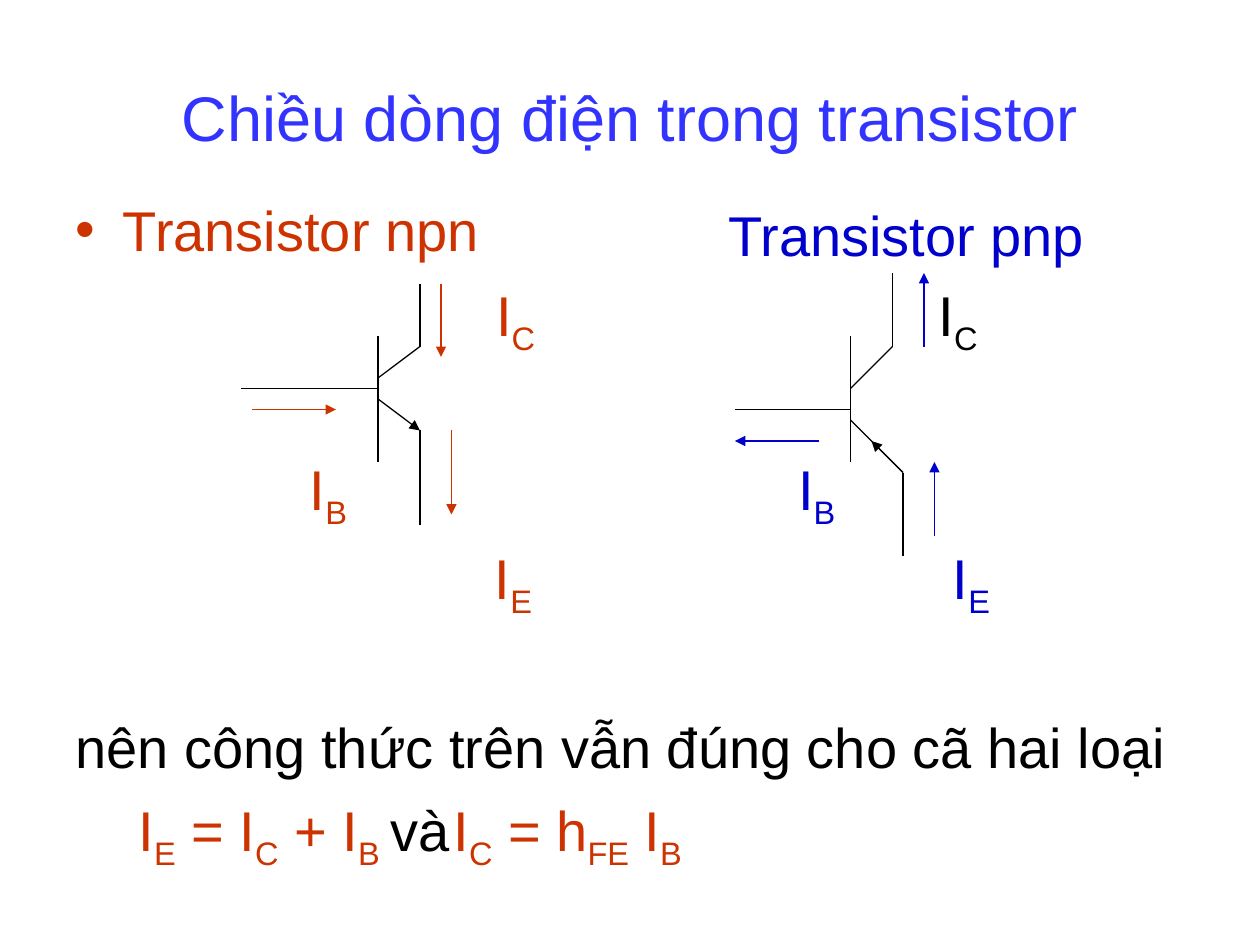
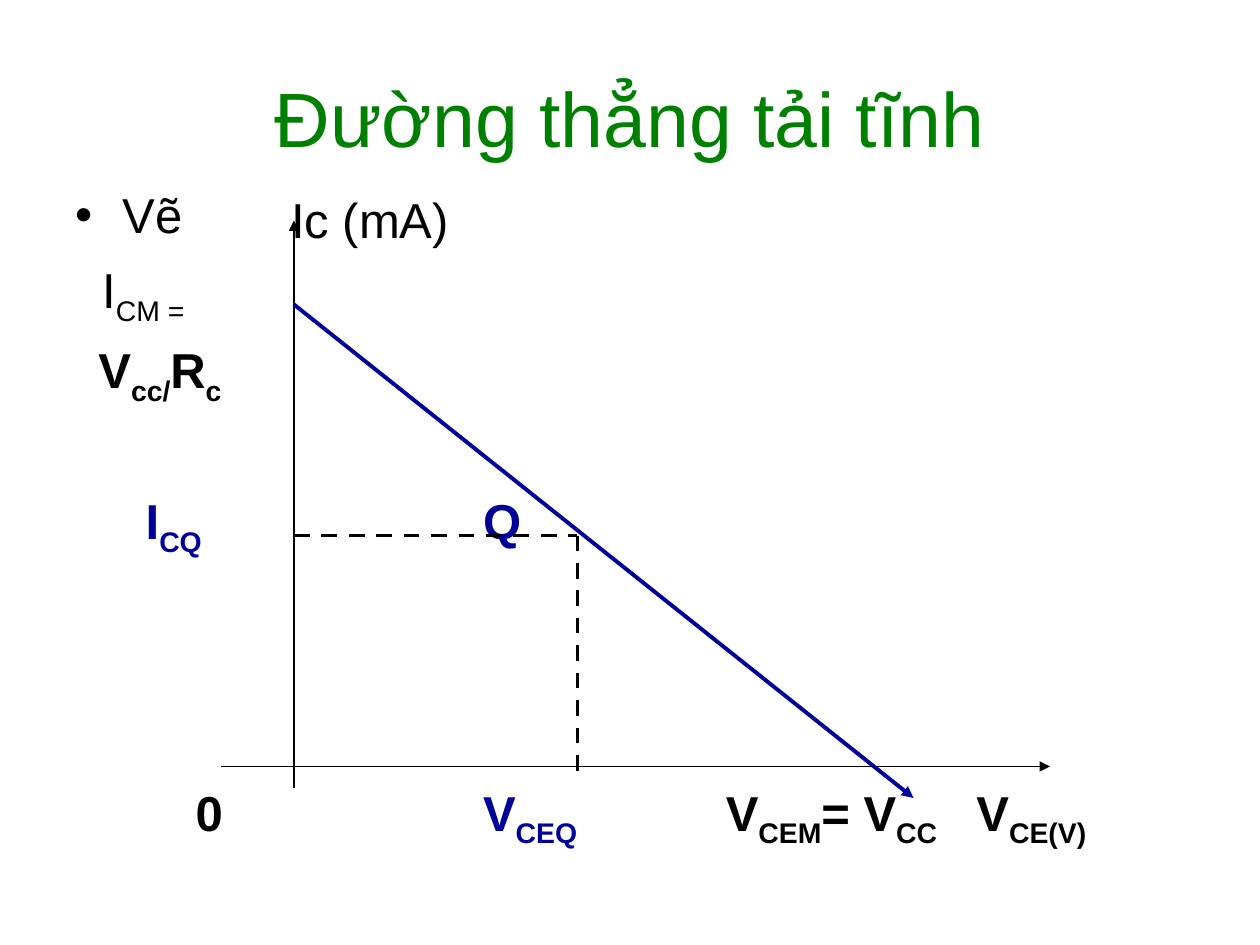
import pptx
import pptx.dml.color
import pptx.enum.dml
import pptx.enum.shapes
import pptx.enum.text
import pptx.oxml
import pptx.oxml.ns
import pptx.util

PX = 9525  # EMU per px, 96 px to the inch
FONT = "Arial"
BLACK, RED, BLUE, NAVY = "000000", "CC3300", "0000CC", "000099"
THIN, THICK = 0.75, 2.25
ASCENT = 1.207  # px above the baseline for each point of text size

# Text between bars is subscript: "I|C|".
# Body paragraph: (space before in pt, bulleted, tab stops, [(text, colour)])
# Label: (text, left, baseline, colour)
# Line: (x1, y1, x2, y2)
CURRENTS = {
    "title": ("Chiều dòng điện trong transistor", 36, "3333FF"),
    "body_top": 144,
    "size": 32,
    "bold": False,
    "body": [
        (4, True, [], [("Transistor npn", RED)]),
        (257, False, [], [("nên công thức trên vẫn đúng cho cã hai loại", BLACK)]),
        (9, False, [105, 338, 430], [
            ("\tI|E| = I|C| + I|B|", RED),
            ("\tvà", BLACK),
            ("\tI|C| = h|FE| I|B|", RED),
        ]),
    ],
    "labels": [
        ("Transistor pnp", 555, 192, BLUE),
        ("I|C|", 378, 253, RED),
        ("I|C|", 715, 253, BLACK),
        ("I|B|", 236, 385, RED),
        ("I|B|", 608, 385, BLUE),
        ("I|E|", 377, 453, RED),
        ("I|E|", 726, 453, BLUE),
    ],
    # (colour, width, arrow, dashed, lines)
    "lines": [
        (BLACK, THIN, False, False, [
            (184, 296, 288, 296), (288, 256, 288, 352), (288, 288, 320, 264),
            (320, 264, 320, 216), (320, 328, 320, 400),
            (560, 312, 648, 312), (648, 256, 648, 352), (648, 296, 680, 264),
            (680, 264, 680, 208), (688, 360, 688, 424), (688, 360, 648, 320),
        ]),
        (BLACK, THIN, True, False, [(288, 304, 320, 328), (688, 360, 664, 336)]),
        (RED, THIN, True, False, [
            (336, 216, 336, 272), (192, 312, 256, 312), (344, 328, 344, 392),
        ]),
        (BLUE, THIN, True, False, [
            (624, 336, 560, 336), (712, 408, 712, 352), (704, 264, 704, 208),
        ]),
    ],
}

LOAD_LINE = {
    "title": ("Đường thẳng tải tĩnh", 44, "008000"),
    "body_top": 136,
    "size": 28,
    "bold": True,
    "body": [(4, True, [], [("Vẽ", BLACK)])],
    "plain_labels": [
        ("Ic (mA)", 222, 178, BLACK),
        ("I|CM =|", 78, 232, BLACK),
    ],
    "labels": [
        ("V|cc/|R|c|", 75, 293, BLACK),
        ("I|CQ|", 111, 408, NAVY),
        ("Q", 368, 408, NAVY),
        ("0", 149, 630, BLACK),
        ("V|CEQ|", 368, 630, NAVY),
        ("V|CEM|= V|CC|", 553, 630, BLACK),
        ("V|CE(V)|", 744, 630, BLACK),
    ],
    "lines": [
        (BLACK, THIN, True, False, [(224, 600, 224, 168), (168, 584, 800, 584)]),
        (NAVY, THICK, True, False, [(224, 232, 696, 608)]),
        (BLACK, THICK, False, True, [(224, 408, 440, 408), (440, 408, 440, 592)]),
    ],
}


def rgb(color):
    return pptx.dml.color.RGBColor.from_string(color)


def add_child(parent, tag, **attrs):
    child = pptx.oxml.parse_xml(f"<{tag} {pptx.oxml.ns.nsdecls('a')}/>")
    for name, value in attrs.items():
        child.set(name, str(value))
    parent.append(child)
    return child


def place(sp, left, top, width, height):
    sp.left, sp.top, sp.width, sp.height = (v * PX for v in (left, top, width, height))


def set_font(font, size, bold=False):
    font.name, font.size, font.bold = FONT, pptx.util.Pt(size), bold


def add_runs(p, text, color):
    """Add text as runs; every second part between bars is a subscript."""
    for i, part in enumerate(text.split("|")):
        if part:
            r = p.add_run()
            r.text = part
            r.font.color.rgb = rgb(color)
            if i % 2:
                r.font._element.set("baseline", "-25000")


def fill_title(sp, text, size, color):
    place(sp, 48, 29, 864, 120)
    p = sp.text_frame.paragraphs[0]
    p.alignment = pptx.enum.text.PP_ALIGN.CENTER
    set_font(p.font, size)
    add_runs(p, text, color)


def fill_body(sp, top, size, paragraphs):
    place(sp, 48, top, 864, 507)
    tf = sp.text_frame
    tf.auto_size = pptx.enum.text.MSO_AUTO_SIZE.NONE
    for i, (space, bulleted, tabs, parts) in enumerate(paragraphs):
        p = tf.add_paragraph() if i else tf.paragraphs[0]
        p.space_before = pptx.util.Pt(space)
        pPr = p._p.get_or_add_pPr()
        indent = 36 * PX if bulleted else 0
        pPr.set("marL", str(indent))
        pPr.set("indent", str(-indent))
        if not bulleted:
            add_child(pPr, "a:buNone")
        if tabs:
            tab_list = add_child(pPr, "a:tabLst")
            for pos in tabs:
                add_child(tab_list, "a:tab", pos=pos * PX, algn="l")
        set_font(p.font, size)
        for text, color in parts:
            add_runs(p, text, color)


def add_label(s, text, left, baseline, color, size, bold):
    width = round((len(text.replace("|", "")) + 1) * size * 0.8)
    top = round(baseline - ASCENT * size)
    sp = s.shapes.add_textbox(left * PX, top * PX, width * PX, round(size * 1.8) * PX)
    tf = sp.text_frame
    tf.word_wrap = True
    tf.margin_left = tf.margin_right = tf.margin_top = tf.margin_bottom = 0
    p = tf.paragraphs[0]
    set_font(p.font, size, bold)
    add_runs(p, text, color)


def add_line(s, ends, color, width, arrow, dashed):
    c = s.shapes.add_connector(
        pptx.enum.shapes.MSO_CONNECTOR.STRAIGHT, *(v * PX for v in ends))
    c.line.color.rgb = rgb(color)
    c.line.width = pptx.util.Pt(width)
    if dashed:
        c.line.dash_style = pptx.enum.dml.MSO_LINE.DASH
    if arrow:
        add_child(c.line._get_or_add_ln(), "a:tailEnd", type="triangle")
    add_child(c._element.spPr, "a:effectLst")


def build_slide(prs, content):
    s = prs.slides.add_slide(prs.slide_layouts[1])
    size = content["size"]
    fill_title(s.shapes.title, *content["title"])
    fill_body(s.placeholders[1], content["body_top"], size, content["body"])
    for label in content.get("plain_labels", []):
        add_label(s, *label, size, False)
    for label in content["labels"]:
        add_label(s, *label, size, content["bold"])
    for color, width, arrow, dashed, lines in content["lines"]:
        for ends in lines:
            add_line(s, ends, color, width, arrow, dashed)


def main():
    prs = pptx.Presentation()
    prs.slide_width, prs.slide_height = 960 * PX, 720 * PX
    for content in (CURRENTS, LOAD_LINE):
        build_slide(prs, content)
    prs.save("out.pptx")


if __name__ == "__main__":
    main()
